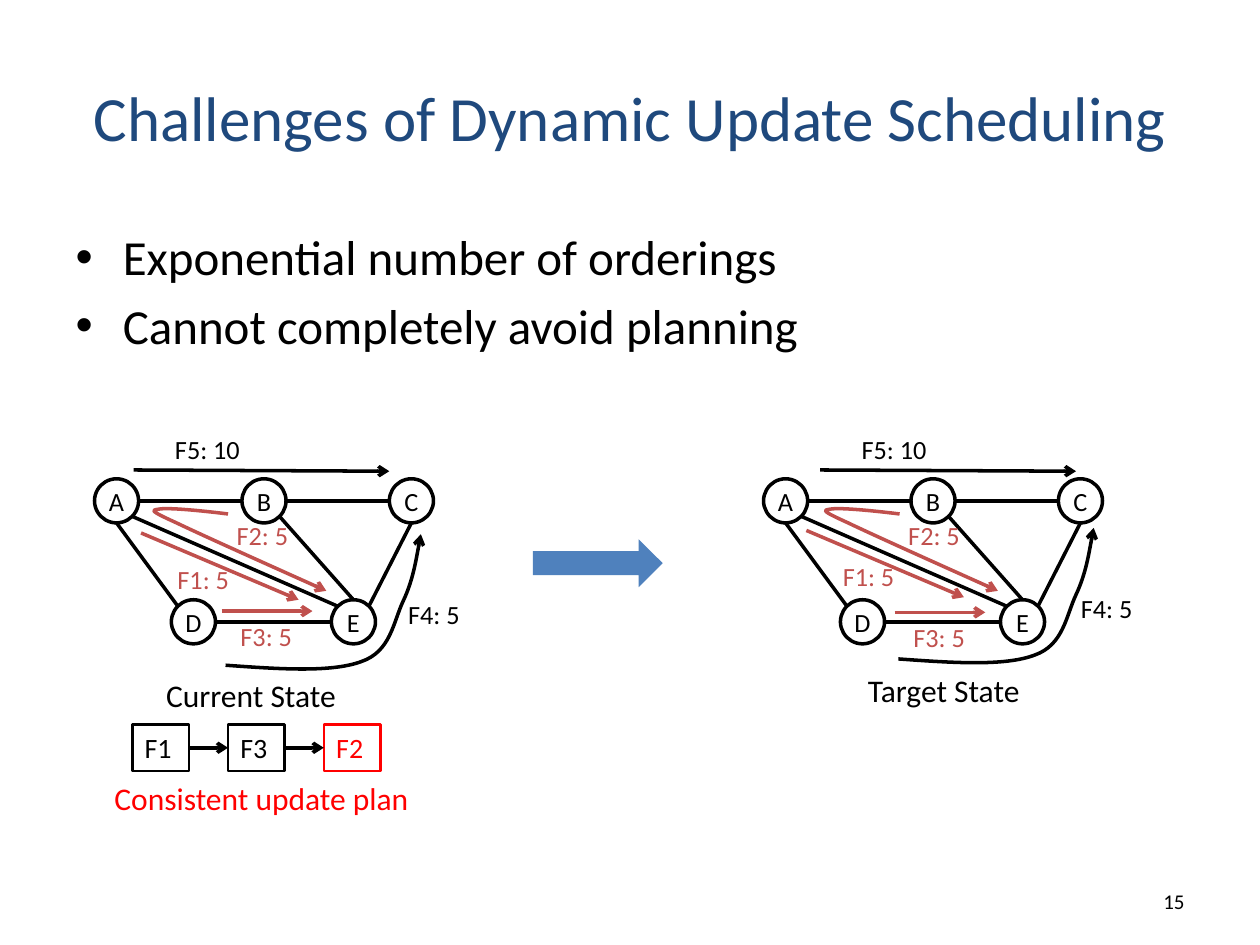
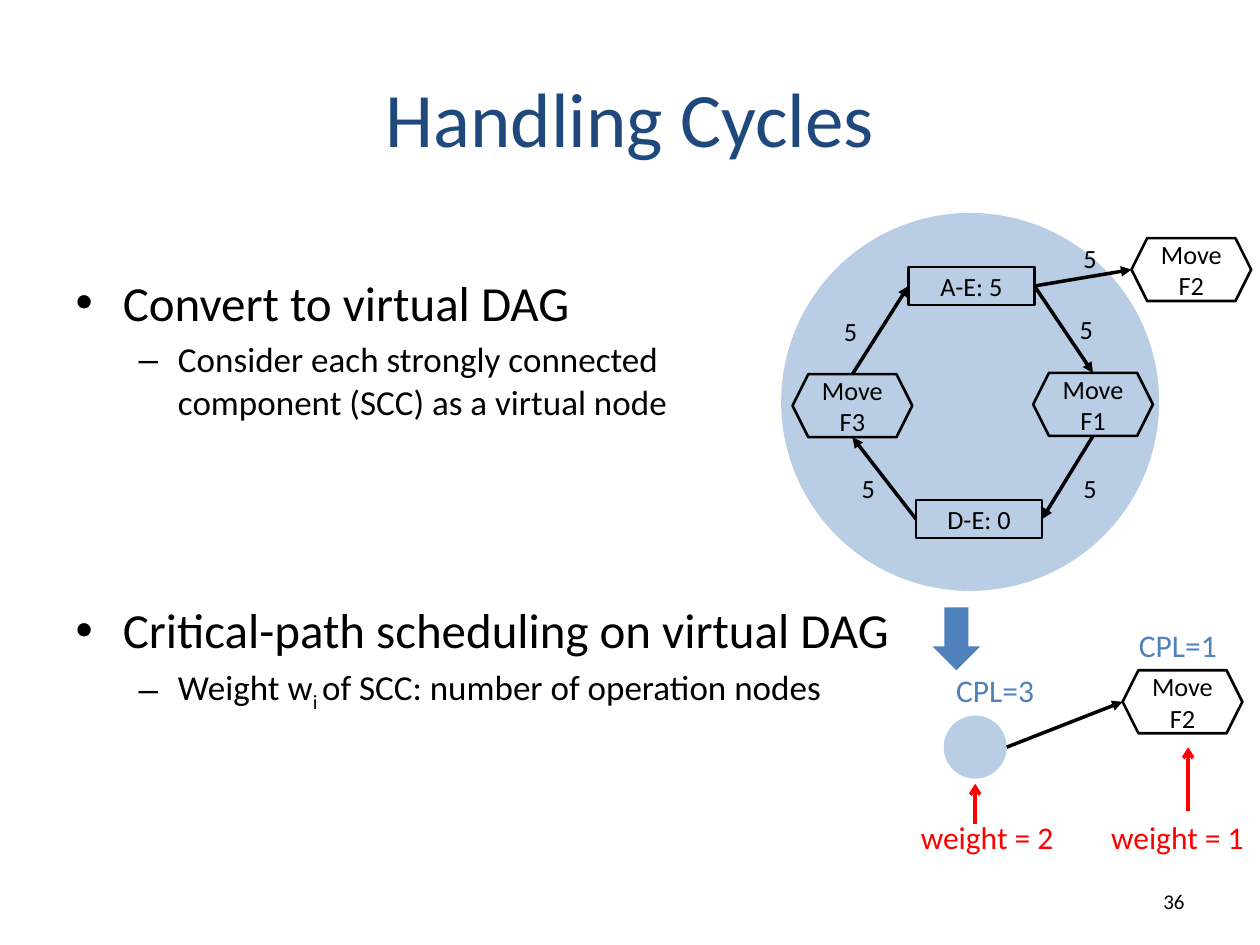
from lxml import etree
from pptx import Presentation
from pptx.dml.color import RGBColor
from pptx.enum.shapes import MSO_CONNECTOR, MSO_SHAPE
from pptx.enum.text import MSO_ANCHOR, PP_ALIGN
from pptx.oxml.ns import qn
from pptx.util import Pt

PX = 9144  # EMU per px, 100 px to the inch
FONT = "Calibri"
COLORS = {"title": "1F497D", "ink": "000000", "flow": "C0504D", "alert": "FF0000",
          "accent": "4F81BD", "component": "B9CDE5"}
RECTANGLE, OVAL, HEXAGON = MSO_SHAPE.RECTANGLE, MSO_SHAPE.OVAL, MSO_SHAPE.HEXAGON
RIGHT_ARROW, DOWN_ARROW = MSO_SHAPE.RIGHT_ARROW, MSO_SHAPE.DOWN_ARROW
STRAIGHT = MSO_CONNECTOR.STRAIGHT
LEFT, CENTER, RIGHT = PP_ALIGN.LEFT, PP_ALIGN.CENTER, PP_ALIGN.RIGHT
TOP_ANCHOR, MIDDLE_ANCHOR = MSO_ANCHOR.TOP, MSO_ANCHOR.MIDDLE
TOP, LEFT_SIDE, BOTTOM, RIGHT_SIDE = range(4)

TITLE_FRAME = (50, 30, 900, 125)
NUMBER_FRAME = (717, 695, 233, 40)
LEVEL_SIZES = (28, 20)

# Each list item is its level followed by spans; every second span is a subscript.
SCHEDULING = {
    "layout": 1, "title": "Challenges of Dynamic Update Scheduling", "title_size": 36,
    "number": 15,
    "lists": [((50, 175, 900, 186), [(0, "Exponential number of orderings"),
                                     (0, "Cannot completely avoid planning")])],
}
CYCLES = {
    "layout": 3, "title": "Handling Cycles", "title_size": 44, "number": 36,
    "lists": [
        ((50, 211, 593, 261),
         [(0, "Convert to virtual DAG"),
          (1, "Consider each strongly connected component (SCC) as a virtual node")]),
        ((50, 471, 703, 247),
         [(0, "Critical-path scheduling on virtual DAG"),
          (1, "Weight w", "i ", "of SCC: number of operation nodes")]),
    ],
}

NODE_SIZE = 35
NODES = {"A": (75, 380), "B": (192, 380), "C": (309, 380), "D": (136, 476), "E": (263, 476)}
COMPASS = {"N": (0, -1), "S": (0, 1), "W": (-1, 0), "E": (1, 0),
           "NW": (-0.7, -0.7), "NE": (0.7, -0.7), "SE": (0.7, 0.7)}
EDGES = [("A", "E", "B", "W"), ("B", "E", "C", "W"), ("A", "S", "D", "NW"),
         ("A", "SE", "E", "NW"), ("D", "E", "E", "W"), ("C", "S", "E", "NE"),
         ("B", "SE", "E", "N")]
# Name: label, label position, colour, route (two points or Bezier points)
FLOWS = {
    "F1": ("F1: 5", (131, 442), "flow", [(112, 423), (237, 476)]),
    "F2": ("F2: 5", (178, 407), "flow",
           [(181, 408), (157, 405), (134, 403), (127, 404), (120, 405), (118, 405),
            (140, 415), (163, 426), (259, 469), (259, 469)]),
    "F3": ("F3: 5", (181, 487), "flow", [(176, 485), (248, 485)]),
    "F4": ("F4: 5", (314, 470), "ink",
           [(179, 528), (221, 531), (263, 534), (287, 525), (310, 517), (312, 494),
            (320, 477), (328, 460), (334, 424), (334, 424)]),
    "F5": ("F5: 10", (129, 339), "ink", [(106, 373), (309, 374)]),
}
STATES = [
    {"caption": "Current State", "at": (122, 532), "shift": 0,
     "flow_shifts": dict.fromkeys(FLOWS, (0, 0))},
    {"caption": "Target State", "at": (679, 528), "shift": 531,
     "flow_shifts": {"F1": (528, -2), "F2": (533, 0), "F3": (534, 1),
                     "F4": (534, -5), "F5": (545, 0)}},
]
PLAN = [("F1", "ink"), ("F3", "ink"), ("F2", "alert")]
PLAN_LEFT, PLAN_TOP, PLAN_STEP = 105, 575, 76

HEXAGON_SIZE = (95, 50)
LINK_SIZE = (100, 30)
OPERATIONS = {"F3": (629, 297), "F1": (820, 296), "F2": (898, 189)}
LINKS = {"A-E: 5": (721, 212), "D-E: 0": (727, 397)}
DEPENDENCIES = [("A-E: 5", RIGHT_SIDE, "F2", LEFT_SIDE), ("A-E: 5", RIGHT_SIDE, "F1", TOP),
                ("F1", BOTTOM, "D-E: 0", RIGHT_SIDE), ("D-E: 0", LEFT_SIDE, "F3", BOTTOM),
                ("F3", TOP, "A-E: 5", LEFT_SIDE)]
DEMANDS = [(850, 187), (847, 244), (674, 370), (850, 370), (660, 245)]
VIRTUAL_LABELS = [("CPL=1", (894, 492), "accent"), ("CPL=3", (749, 528), "accent"),
                  ("weight = 1", (872, 644), "alert"), ("weight = 2", (721, 644), "alert")]
WEIGHT_ARROWS = [((943, 644), (943, 593)), ((774, 654), (774, 622))]


def color_of(name):
    return RGBColor.from_string(COLORS[name])


def emu(*lengths):
    return [round(length * PX) for length in lengths]


def place(shape, frame):
    shape.left, shape.top, shape.width, shape.height = emu(*frame)


def style_font(font, size, color):
    font.name, font.size = FONT, Pt(size)
    font.color.rgb = color_of(color)


def write(shape, text, size=15, color="ink", align=LEFT, anchor=TOP_ANCHOR, inset=None):
    frame = shape.text_frame
    frame.text = text
    frame.word_wrap = True
    frame.vertical_anchor = anchor
    if inset is not None:
        frame.margin_left = frame.margin_right = inset
        frame.margin_top = frame.margin_bottom = inset
    for para in frame.paragraphs:
        para.alignment = align
        style_font(para.font, size, color)


def add_label(page, text, at, size=15, width=141, height=35, **format_options):
    box = page.shapes.add_textbox(*emu(*at, width, height))
    write(box, text, size=size, **format_options)
    return box


def add_figure(page, kind, frame, fill=None, line=None, width=1.5):
    shape = page.shapes.add_shape(kind, *emu(*frame))
    shape.shadow.inherit = False
    if fill:
        shape.fill.solid()
        shape.fill.fore_color.rgb = color_of(fill)
    else:
        shape.fill.background()
    if line:
        style_line(shape, line, width)
    else:
        shape.line.fill.background()
    return shape


def style_line(shape, color, width=2, head=None):
    shape.line.width = Pt(width)
    shape.line.color.rgb = color_of(color)
    if head:
        outline = shape._element.spPr.find(qn("a:ln"))
        etree.SubElement(outline, qn("a:tailEnd"), type=head)


def add_line(page, start, end, color="ink", head=None):
    line = page.shapes.add_connector(STRAIGHT, *emu(*start, *end))
    style_line(line, color, head=head)
    etree.SubElement(line._element.spPr, qn("a:effectLst"))
    return line


def side_middle(shape, side):
    across, down = [(0.5, 0), (0, 0.5), (0.5, 1), (1, 0.5)][side]
    return ((shape.left + across * shape.width) / PX, (shape.top + down * shape.height) / PX)


def join(page, first, first_side, second, second_side, head):
    """Draw an arrow between two sides, glued where the shape is a rectangle."""
    line = add_line(page, side_middle(first, first_side), side_middle(second, second_side),
                    head=head)
    if first.auto_shape_type == RECTANGLE:
        line.begin_connect(first, first_side)
    if second.auto_shape_type == RECTANGLE:
        line.end_connect(second, second_side)


def add_curve(page, points, color):
    """Draw an open Bezier arrow: a start, then three points for each segment."""
    builder = page.shapes.build_freeform(*points[0], scale=PX)
    builder.add_line_segments(points[1:], close=False)
    curve = builder.convert_to_shape()
    curve.shadow.inherit = False
    curve.fill.background()
    style_line(curve, color, head="arrow")
    steps = list(curve._element.iter(qn("a:lnTo")))
    for index in range(0, len(steps), 3):
        segment = etree.Element(qn("a:cubicBezTo"))
        steps[index].addprevious(segment)
        for step in steps[index:index + 3]:
            segment.append(step[0])
            step.getparent().remove(step)


def fill_list(body, frame, items):
    place(body, frame)
    for index, (level, *spans) in enumerate(items):
        text_frame = body.text_frame
        para = text_frame.add_paragraph() if index else text_frame.paragraphs[0]
        para.level = level
        if index == 0:
            para.space_before = Pt(0)
        for position, text in enumerate(spans):
            span = para.add_run()
            span.text = text
            style_font(span.font, LEVEL_SIZES[level], "ink")
            if position % 2:
                span._r.get_or_add_rPr().set("baseline", "-25000")


def add_page(deck, content):
    page = deck.slides.add_slide(deck.slide_layouts[content["layout"]])
    title, *bodies = page.placeholders
    place(title, TITLE_FRAME)
    write(title, content["title"], size=content["title_size"], color="title",
          align=CENTER, anchor=MIDDLE_ANCHOR)
    for body, (frame, items) in zip(bodies, content["lists"]):
        fill_list(body, frame, items)
    left, top, width, height = NUMBER_FRAME
    add_label(page, str(content["number"]), (left, top), size=12, width=width,
              height=height, align=RIGHT, anchor=MIDDLE_ANCHOR)
    return page


def draw_network(page, state):
    radius = NODE_SIZE / 2

    def rim(node, direction):
        (left, top), (across, down) = NODES[node], COMPASS[direction]
        return (left + state["shift"] + radius * (1 + across), top + radius * (1 + down))

    for start, leaving, end, entering in EDGES:
        add_line(page, rim(start, leaving), rim(end, entering))
    for name, (left, top) in NODES.items():
        node = add_figure(page, OVAL, (left + state["shift"], top, NODE_SIZE, NODE_SIZE),
                          line="ink", width=2)
        write(node, name, align=CENTER, anchor=MIDDLE_ANCHOR, inset=0)
    for name, (label, at, color, route) in FLOWS.items():
        dx, dy = state["flow_shifts"][name]
        label_at, *points = [(x + dx, y + dy) for x, y in [at, *route]]
        if len(points) == 2:
            add_line(page, *points, color=color, head="arrow")
        else:
            add_curve(page, points, color)
        add_label(page, label, label_at, width=98, color=color)
    add_label(page, state["caption"], state["at"], size=18, width=165, height=40)


def draw_plan(page):
    previous = None
    for index, (flow, color) in enumerate(PLAN):
        box = add_figure(page, RECTANGLE, (PLAN_LEFT + index * PLAN_STEP, PLAN_TOP, 45, 37),
                         line=color)
        write(box, flow, size=16, color=color)
        if previous:
            join(page, previous, RIGHT_SIDE, box, LEFT_SIDE, "arrow")
        previous = box
    add_label(page, "Consistent update plan", (81, 613), size=18, width=284, height=40,
              color="alert")


def add_operation(page, flow, at):
    box = add_figure(page, HEXAGON, (*at, *HEXAGON_SIZE), line="ink")
    write(box, f"Move\n{flow}", align=CENTER, anchor=MIDDLE_ANCHOR, inset=0)
    return box


def draw_cycle(page):
    add_figure(page, OVAL, (620, 169, 300, 300), fill="component")
    parts = {flow: add_operation(page, flow, at) for flow, at in OPERATIONS.items()}
    for name, at in LINKS.items():
        parts[name] = add_figure(page, RECTANGLE, (*at, *LINK_SIZE), line="ink")
        write(parts[name], name, align=CENTER, anchor=MIDDLE_ANCHOR, inset=0)
    for first, first_side, second, second_side in DEPENDENCIES:
        join(page, parts[first], first_side, parts[second], second_side, "triangle")
    for at in DEMANDS:
        add_label(page, "5", at, width=50)


def draw_virtual_graph(page):
    add_figure(page, DOWN_ARROW, (740, 482, 38, 50), fill="accent")
    component = add_figure(page, OVAL, (749, 568, 50, 50), fill="component")
    operation = add_operation(page, "F2", (891, 532))
    join(page, component, RIGHT_SIDE, operation, LEFT_SIDE, "triangle")
    for text, at, color in VIRTUAL_LABELS:
        add_label(page, text, at, size=18, height=40, color=color)
    for start, end in WEIGHT_ARROWS:
        add_line(page, start, end, color="alert", head="arrow")


def main():
    deck = Presentation()
    deck.slide_width, deck.slide_height = emu(1000, 750)

    scheduling = add_page(deck, SCHEDULING)
    for state in STATES:
        draw_network(scheduling, state)
    add_figure(scheduling, RIGHT_ARROW, (423, 428, 103, 38), fill="accent")
    draw_plan(scheduling)

    cycles = add_page(deck, CYCLES)
    draw_cycle(cycles)
    draw_virtual_graph(cycles)

    deck.save("out.pptx")


if __name__ == "__main__":
    main()
